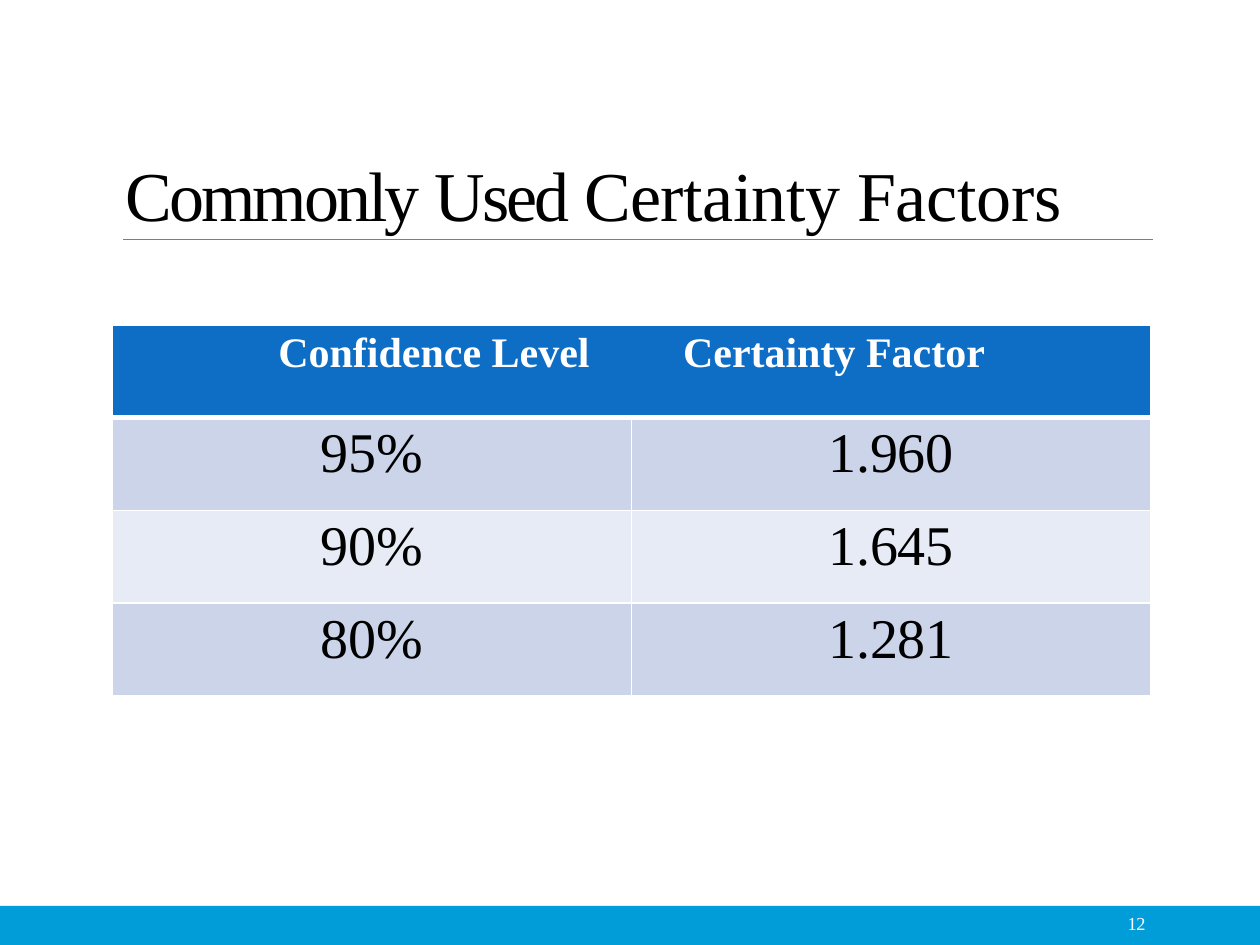
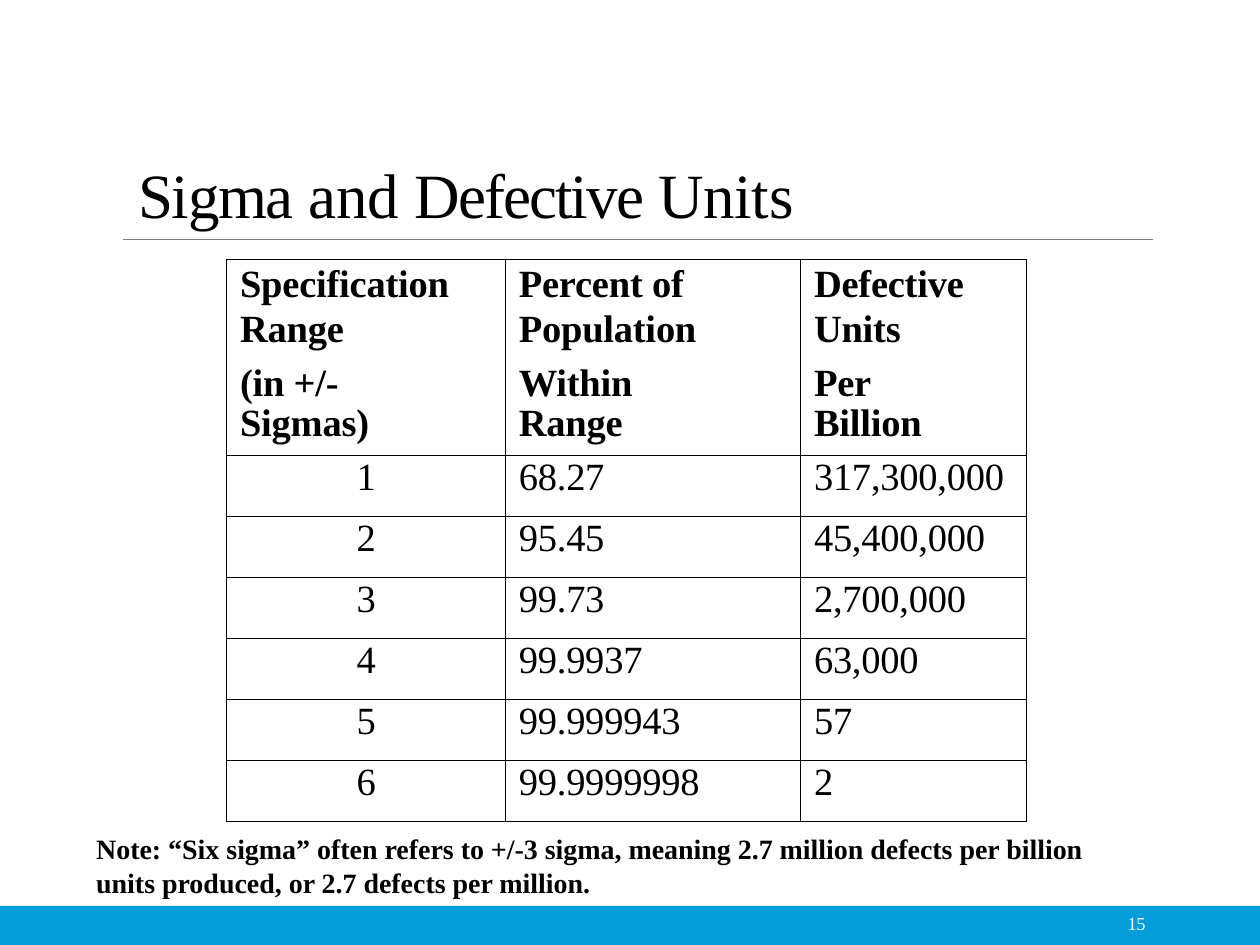
"""Build two slides on certainty factors and sigma levels."""
from dataclasses import dataclass

from lxml import etree
from pptx import Presentation
from pptx.dml.color import RGBColor
from pptx.enum.shapes import MSO_CONNECTOR, MSO_SHAPE
from pptx.enum.text import PP_ALIGN
from pptx.oxml.ns import qn
from pptx.util import Cm, Pt

RECT = MSO_SHAPE.RECTANGLE
STRAIGHT = MSO_CONNECTOR.STRAIGHT
CENTER = PP_ALIGN.CENTER


@dataclass(frozen=True)
class Theme:
    font: str = "Times New Roman"
    black: str = "000000"
    white: str = "FFFFFF"
    band: str = "009DD9"
    rule: str = "7E7E7E"
    head: str = "0E6EC5"
    dark: str = "CCD4EA"
    light: str = "E7EBF5"
    page_size: float = 10.5
    note_size: int = 16
    sigma_size: int = 22
    head_size: int = 24
    value_size: int = 32


theme = Theme()


def write(para, parts, size, color, bold=False):
    for text, gap in parts:
        run = para.add_run()
        run.text = text
        run.font.name = theme.font
        run.font.size = Pt(size)
        run.font.bold = bold
        run.font.color.rgb = RGBColor.from_string(color)
        run._r.get_or_add_rPr().set("spc", str(round(gap * 100)))


def dress(cell, edges, color, left=0, top=0, right=0):
    cell.margin_left, cell.margin_top = Cm(left), Cm(top)
    cell.margin_right, cell.margin_bottom = Cm(right), 0
    props = cell._tc.get_or_add_tcPr()
    for side, width in zip("LRTB", edges):
        line = etree.SubElement(props, qn(f"a:ln{side}"), w=str(Pt(width)))
        if width:
            fill = etree.SubElement(line, qn("a:solidFill"))
            etree.SubElement(fill, qn("a:srgbClr"), val=color)
        else:
            etree.SubElement(line, qn("a:noFill"))


deck = Presentation()
deck.slide_width, deck.slide_height = Cm(25.4), Cm(19.05)

titles = [
    (40, 0.03, 1.45, "12", [("Commonly ", -1.7), ("Used ", -1.6),
                            ("Certainty ", -0.3), ("Factors", -0.1)]),
    (36, 0.28, 1.55, "15", [("Sigma ", -0.8), ("and ", 0),
                            ("Defective ", -1.1), ("Units", -0.1)]),
]
slides = []
for size, left, top, number, words in titles:
    slide = deck.slides.add_slide(deck.slide_layouts[6])
    slides.append(slide)
    band = slide.shapes.add_shape(RECT, 0, Cm(18.26), Cm(25.4), Cm(0.79))
    band.shadow.inherit = False
    band.fill.solid()
    band.fill.fore_color.rgb = RGBColor.from_string(theme.band)
    band.line.fill.background()
    rule = slide.shapes.add_connector(STRAIGHT, Cm(2.48), Cm(4.83), Cm(23.25), Cm(4.83))
    rule.line.color.rgb = RGBColor.from_string(theme.rule)
    rule.line.width = Pt(0.5)
    etree.SubElement(rule._element.spPr, qn("a:effectLst"))

    title = slide.shapes.add_textbox(Cm(2.51), Cm(1.6), Cm(20.19), Cm(3.33)).text_frame
    title.margin_left, title.margin_top = Cm(left), Cm(top)
    title.margin_right = title.margin_bottom = 0
    title.word_wrap = True
    write(title.paragraphs[0], words, size, theme.black)

    page = slide.shapes.add_textbox(Cm(22.63), Cm(18.39), Cm(0.61), Cm(0.48)).text_frame
    page.margin_left = Cm(0.1)
    page.margin_top = page.margin_right = page.margin_bottom = 0
    page.word_wrap = True
    page.paragraphs[0].line_spacing = Pt(12.5)
    write(page.paragraphs[0], [(number, -0.2)], theme.page_size, theme.white)

factors = [
    ("Confidence Level", "Certainty Factor"),
    ("95%", "1.960"),
    ("90%", "1.645"),
    ("80%", "1.281"),
]
grid = slides[0].shapes.add_table(4, 2, Cm(2.26), Cm(6.55), Cm(20.94), Cm(7.48)).table
grid.first_row = grid.horz_banding = False
for col in grid.columns:
    col.width = Cm(10.47)
for r, row in enumerate(factors):
    grid.rows[r].height = Cm(1.87)
    for c, text in enumerate(row):
        cell = grid.cell(r, c)
        para = cell.text_frame.paragraphs[0]
        if r == 0:
            dress(cell, (1 - c, c, 1, 3), theme.white, (3.35, 1.04)[c], 0.1)
            write(para, [(text, 0)], theme.head_size, theme.white, True)
            shade = theme.head
        else:
            dress(cell, (1, 1, 3 if r == 1 else 1, 1), theme.white, 0, 0.1)
            para.alignment = CENTER
            write(para, [(text, -0.1)], theme.value_size, theme.black)
            shade = theme.dark if r % 2 else theme.light
        cell.fill.solid()
        cell.fill.fore_color.rgb = RGBColor.from_string(shade)

heads = [
    ("Specification Range", "(in +/- Sigmas)"),
    ("Percent of Population", "Within Range"),
    ("Defective Units", "Per Billion"),
]
levels = [
    ("1", "68.27", "317,300,000"),
    ("2", "95.45", "45,400,000"),
    ("3", "99.73", "2,700,000"),
    ("4", "99.9937", "63,000"),
    ("5", "99.999943", "57"),
    ("6", "99.9999998", "2"),
]
widths = (5.62, 5.95, 4.55)
insets = (0.9, 1.8, 1.08)
edges = (0.75,) * 4
grid = slides[1].shapes.add_table(7, 3, Cm(4.57), Cm(5.23), Cm(16.12), Cm(11.33)).table
grid.first_row = grid.horz_banding = False
grid.rows[0].height = Cm(3.95)
for c, (width, inset, lines) in enumerate(zip(widths, insets, heads)):
    grid.columns[c].width = Cm(width)
    cell = grid.cell(0, c)
    dress(cell, edges, theme.black, 0.27, 0.03, inset)
    cell.fill.background()
    first, second = cell.text_frame.paragraphs[0], cell.text_frame.add_paragraph()
    first.line_spacing = Pt(25.8)
    second.line_spacing = 0.95
    second.space_before = Pt(7.2)
    for para, text in zip((first, second), lines):
        write(para, [(text, -0.1)], theme.sigma_size, theme.black, True)
for r, row in enumerate(levels, 1):
    grid.rows[r].height = Cm(1.23)
    for c, text in enumerate(row):
        cell = grid.cell(r, c)
        dress(cell, edges, theme.black, 0.27 if c else 0)
        cell.fill.background()
        para = cell.text_frame.paragraphs[0]
        para.line_spacing = Pt(25.1)
        if c == 0:
            para.alignment = CENTER
        write(para, [(text, -0.1)], theme.sigma_size, theme.black)

note = slides[1].shapes.add_textbox(Cm(1.91), Cm(16.74), Cm(20.19), Cm(1.42)).text_frame
note.margin_left = note.margin_top = Cm(0.03)
note.margin_right = note.margin_bottom = 0
note.word_wrap = True
write(note.paragraphs[0], [(
    "Note: “Six sigma” often refers to +/-3 sigma, meaning 2.7 million defects "
    "per billion units produced, or 2.7 defects per million.", 0)],
    theme.note_size, theme.black, True)

deck.save("out.pptx")
